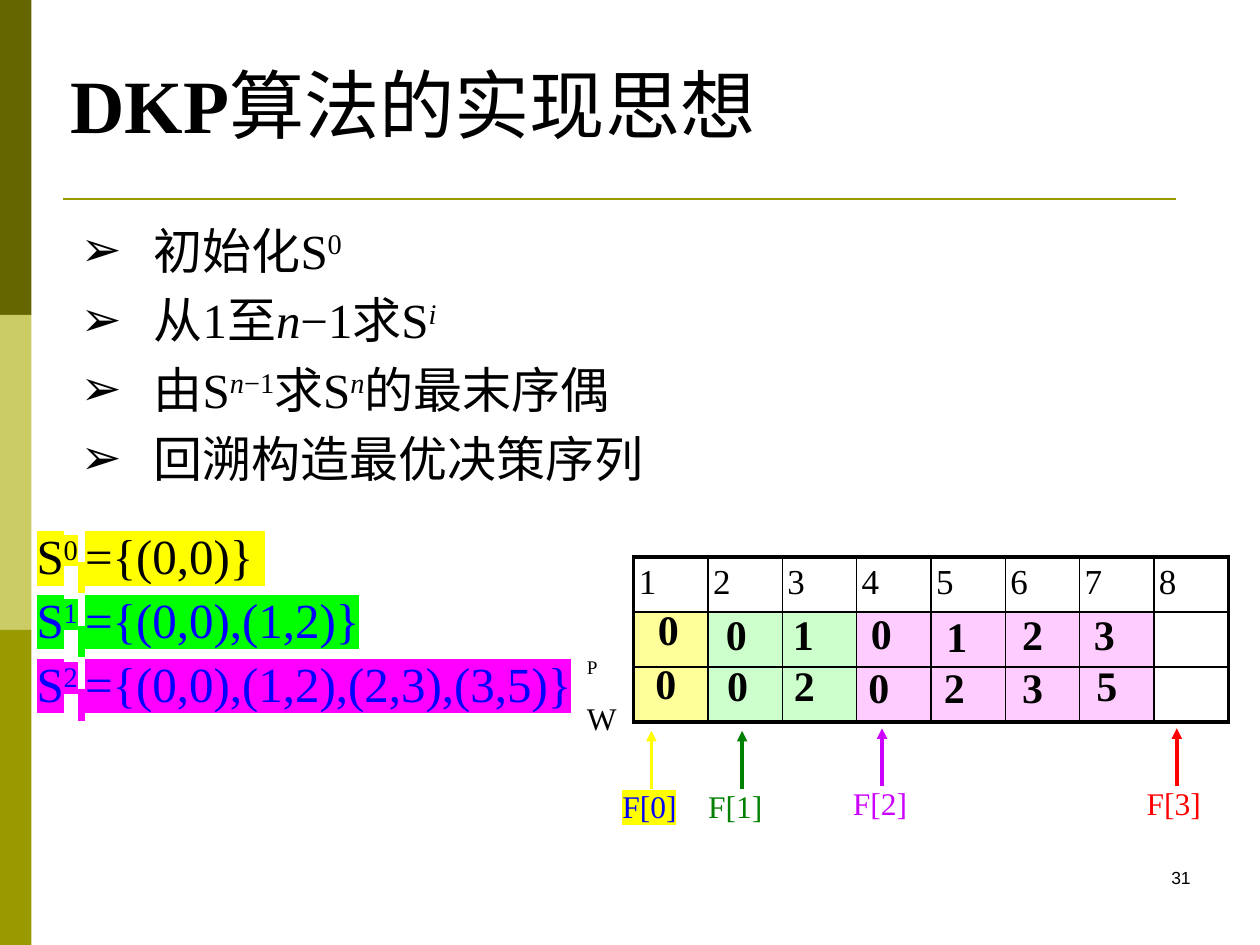
import pptx
import pptx.dml.color
import pptx.enum.shapes
import pptx.enum.text
import pptx.oxml.ns
import pptx.util
from lxml import etree

Inches = pptx.util.Inches
Pt = pptx.util.Pt
qn = pptx.oxml.ns.qn
ANCHOR = pptx.enum.text.MSO_ANCHOR
ALIGN = pptx.enum.text.PP_ALIGN

LATIN, CJK = "Times New Roman", "Noto Sans CJK SC"
COLORS = {
    "black": "000000", "blue": "0000FF", "yellow": "FFFF00", "lime": "00FF00",
    "magenta": "FF00FF", "green": "008000", "violet": "CC00FF", "red": "FF0000",
    "dark olive": "666600", "pale olive": "CCCC66", "olive": "999900",
    "pale yellow": "FFFF99", "pale green": "CCFFCC", "pale pink": "FFCCFF",
}
SUPER, SUB = {"baseline": 30}, {"baseline": -25}
SUPER_ITALIC = {"baseline": 30, "italic": True}

STEPS = [
    [("初始化S", {}), ("0", SUPER)],
    [("从1至", {}), ("n", {"italic": True}), ("−1求S", {}), ("i", SUPER_ITALIC)],
    [("由S", {}), ("n", SUPER_ITALIC), ("−1", SUPER), ("求S", {}),
     ("n", SUPER_ITALIC), ("的最末序偶", {})],
    [("回溯构造最优决策序列", {})],
]
PAIR_SETS = [
    ("0", "={(0,0)} ", "black", "yellow"),
    ("1", "={(0,0),(1,2)}", "blue", "lime"),
    ("2", "={(0,0),(1,2),(2,3),(3,5)}", "blue", "magenta"),
]
COLUMN_FILLS = ["pale yellow"] + ["pale green"] * 2 + ["pale pink"] * 4 + [None]
# Each column: value, left and top of P, then of W, relative to the table
PAIRS = [
    (("0", 0, 0.4), ("0", -0.02, 0.83)),
    (("0", 0.54, 0.44), ("0", 0.55, 0.84)),
    (("1", 1.07, 0.44), ("2", 1.08, 0.84)),
    (("0", 1.69, 0.43), ("0", 1.67, 0.86)),
    (("1", 2.29, 0.45), ("2", 2.27, 0.86)),
    (("2", 2.89, 0.44), ("3", 2.89, 0.86)),
    (("3", 3.46, 0.44), ("5", 3.48, 0.84)),
]
# Label, colour, highlight, left, top, arrow offset from the left
POINTERS = [
    ("F[0]", "blue", "yellow", 4.9, 6.28, 0.27),
    ("F[1]", "green", None, 5.58, 6.28, 0.31),
    ("F[3]", "red", None, 9.06, 6.26, 0.28),
    ("F[2]", "violet", None, 6.73, 6.26, 0.27),
]


def rgb(name):
    return pptx.dml.color.RGBColor.from_string(COLORS[name])


def set_all(target, values):
    for name, value in values.items():
        setattr(target, name, value)


def add_run(paragraph, text, size, color="black", highlight=None, baseline=0,
            font=LATIN, **values):
    run = paragraph.add_run()
    run.text = text
    set_all(run.font, {"size": Pt(size), "name": font, **values})
    run.font.color.rgb = rgb(color)
    props = run.font._element
    if baseline:
        props.set("baseline", str(baseline * 1000))
    if highlight:
        mark = etree.Element(qn("a:highlight"))
        etree.SubElement(mark, qn("a:srgbClr"), val=COLORS[highlight])
        props.find(qn("a:solidFill")).addnext(mark)
    etree.SubElement(props, qn("a:ea"), typeface=CJK)


def set_frame(frame, inset, **values):
    margins = {"margin_" + side: Inches(inset) for side in ("left", "top", "right", "bottom")}
    set_all(frame, {"word_wrap": True, "auto_size": pptx.enum.text.MSO_AUTO_SIZE.NONE,
                    **margins, **values})
    return frame


def add_text(shapes, box, inset, **values):
    return set_frame(shapes.add_textbox(*map(Inches, box)).text_frame, inset, **values)


def paragraphs(frame, count, space):
    """Yield the paragraphs, with the given space between them."""
    for index in range(count):
        paragraph = frame.add_paragraph() if index else frame.paragraphs[0]
        if index:
            paragraph.space_before = Pt(space)
        yield paragraph


def add_line(shapes, start, end, color, width, arrow=False):
    line = shapes.add_connector(pptx.enum.shapes.MSO_CONNECTOR.STRAIGHT,
                                *map(Inches, start + end))
    line.line.color.rgb = rgb(color)
    line.line.width = Pt(width)
    if arrow:
        etree.SubElement(line.line._get_or_add_ln(), qn("a:tailEnd"), type="triangle")
    etree.SubElement(line._element.spPr, qn("a:effectLst"))


def add_frame_decor(slide):
    for index, color in enumerate(("dark olive", "pale olive", "olive")):
        band = slide.shapes.add_shape(pptx.enum.shapes.MSO_SHAPE.RECTANGLE, 0,
                                      Inches(2.5 * index), Inches(0.25), Inches(2.5))
        band.shadow.inherit = False
        band.fill.solid()
        band.fill.fore_color.rgb = rgb(color)
        band.line.fill.background()
    add_line(slide.shapes, (0.5, 1.58), (9.33, 1.58), "olive", 1.5)
    number = add_text(slide.shapes, (9.12, 6.83, 0.38, 0.27), 0.05).paragraphs[0]
    number.alignment = ALIGN.RIGHT
    add_run(number, "31", 10, font="Arial")


def place(shape, box):
    set_all(shape, dict(zip(("left", "top", "width", "height"), map(Inches, box))))


def fill_title(title, box):
    place(title, box)
    frame = set_frame(title.text_frame, 0.05, vertical_anchor=ANCHOR.BOTTOM)
    heading = frame.paragraphs[0]
    heading.alignment = ALIGN.LEFT
    add_run(heading, "DKP", 43, bold=True)
    add_run(heading, "算法的实现思想", 43, font=CJK, bold=False)


def fill_steps(body, box):
    place(body, box)
    frame = set_frame(body.text_frame, 0.05)
    for paragraph, step in zip(paragraphs(frame, len(STEPS), 6), STEPS):
        props = paragraph._p.get_or_add_pPr()
        props.set("marL", str(Inches(0.58)))
        props.set("indent", str(-Inches(0.58)))
        etree.SubElement(props, qn("a:buChar"), char="➢")
        if paragraph is frame.paragraphs[0] or step is STEPS[0]:
            paragraph.space_before = Pt(0)
        for text, values in step:
            add_run(paragraph, text, 28, **values)


def add_pair_sets(slide, box):
    frame = add_text(slide.shapes, box, 0.04)
    for paragraph, (index, pairs, color, mark) in zip(paragraphs(frame, 3, 2), PAIR_SETS):
        paragraph.line_spacing = 0.9
        for text, values in (("S", {}), (index, SUPER), (" ", SUB), (pairs, {})):
            add_run(paragraph, text, 28, color, mark, **values)


def set_borders(cell, widths):
    props = cell._tc.get_or_add_tcPr()
    for position, (side, width) in enumerate(widths.items()):
        edge = etree.Element(qn("a:ln" + side), w=str(Pt(width)))
        fill = etree.SubElement(edge, qn("a:solidFill"))
        etree.SubElement(fill, qn("a:srgbClr"), val=COLORS["black"])
        props.insert(position, edge)


def add_pair_table(slide, box):
    rows, columns = 3, len(COLUMN_FILLS)
    table = slide.shapes.add_table(rows, columns, *map(Inches, box)).table
    set_all(table, {"first_row": False, "horz_banding": False})
    for row in range(rows):
        for column, color in enumerate(COLUMN_FILLS):
            cell = table.cell(row, column)
            set_all(cell, {"vertical_anchor": ANCHOR.MIDDLE, **{
                "margin_" + side: Inches(0.04) for side in ("left", "top", "right", "bottom")}})
            if row and color:
                cell.fill.solid()
                cell.fill.fore_color.rgb = rgb(color)
            else:
                cell.fill.background()
            outer = {"L": column == 0, "R": column == columns - 1,
                     "T": row == 0, "B": row == rows - 1}
            set_borders(cell, {side: 2.25 if edge else 1 for side, edge in outer.items()})
            if row == 0:
                heading = cell.text_frame.paragraphs[0]
                heading.line_spacing = 0.9
                add_run(heading, str(column + 1), 20)


def add_row_names(slide, box):
    frame = add_text(slide.shapes, box, 0.04, margin_left=Inches(0.1),
                     vertical_anchor=ANCHOR.BOTTOM)
    for paragraph, (name, size) in zip(paragraphs(frame, 2, 12), (("P", 11), ("W", 18))):
        add_run(paragraph, name, size)


def add_pointer(slide, label, color, highlight, left, top, offset):
    """Add a label with an arrow rising from it to the table."""
    shapes = slide.shapes.add_group_shape().shapes
    frame = add_text(shapes, (left, top, 0.74, 0.3), 0.04, vertical_anchor=ANCHOR.MIDDLE)
    frame.paragraphs[0].line_spacing = 0.7
    add_run(frame.paragraphs[0], label, 18, color, highlight)
    x = left + offset
    add_line(shapes, (x, top - 0.02), (x, top - 0.48), highlight or color, 2, arrow=True)


def add_pair_values(slide, left, top):
    for value, dx, dy in (entry for pair in PAIRS for entry in pair):
        frame = add_text(slide.shapes, (left + dx, top + dy, 0.55, 0.49), 0.05)
        set_all(frame.paragraphs[0], {"alignment": ALIGN.CENTER, "line_spacing": 0.8})
        add_run(frame.paragraphs[0], value, 24, bold=True)


def main():
    deck = pptx.Presentation()
    set_all(deck, {"slide_width": Inches(10), "slide_height": Inches(7.5)})
    slide = deck.slides.add_slide(deck.slide_layouts[1])
    add_frame_decor(slide)
    fill_title(slide.shapes.title, (0.51, 0.28, 9, 0.95))
    fill_steps(slide.placeholders[1], (0.59, 1.7, 8.23, 2.24))
    add_pair_sets(slide, (0.25, 4.14, 4.74, 1.41))
    add_pair_table(slide, (5.03, 4.42, 4.72, 1.31))
    add_row_names(slide, (4.56, 4.84, 0.43, 1.05))
    for pointer in POINTERS:
        add_pointer(slide, *pointer)
    add_pair_values(slide, 5.03, 4.42)
    deck.save("out.pptx")


if __name__ == "__main__":
    main()
